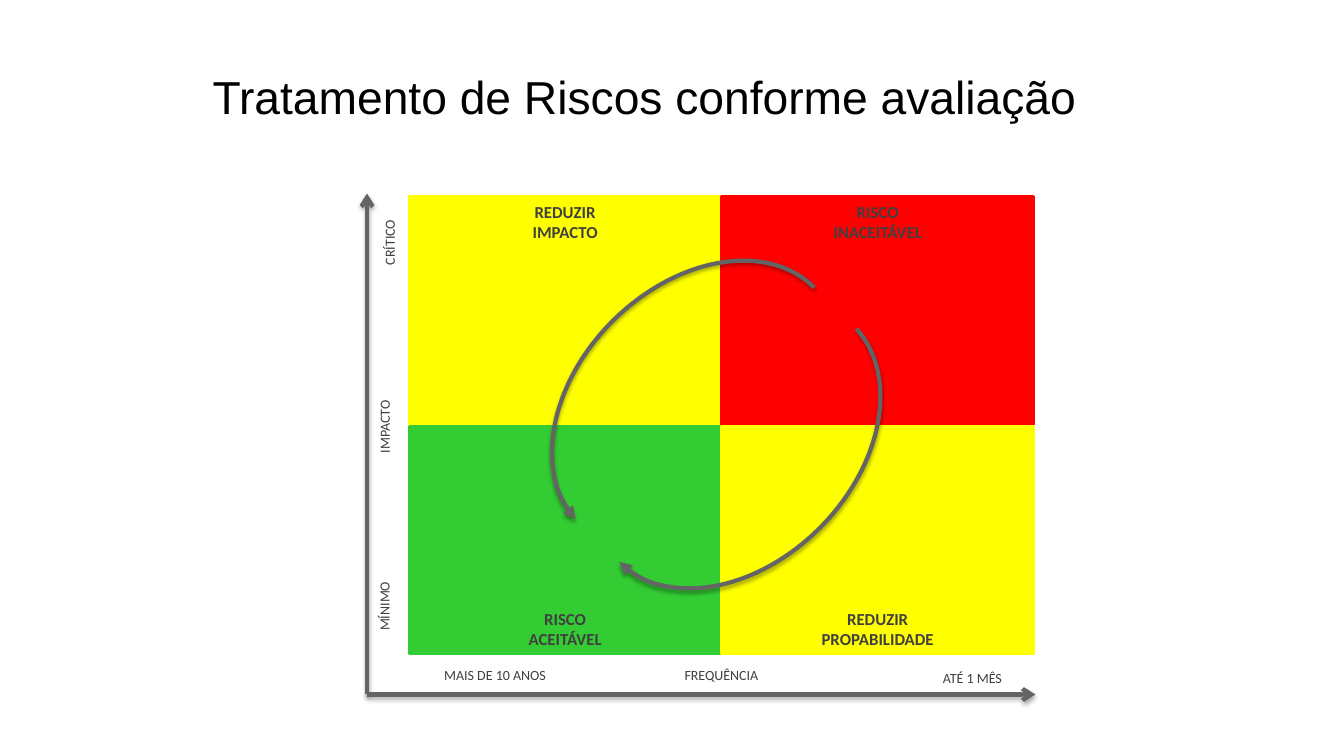
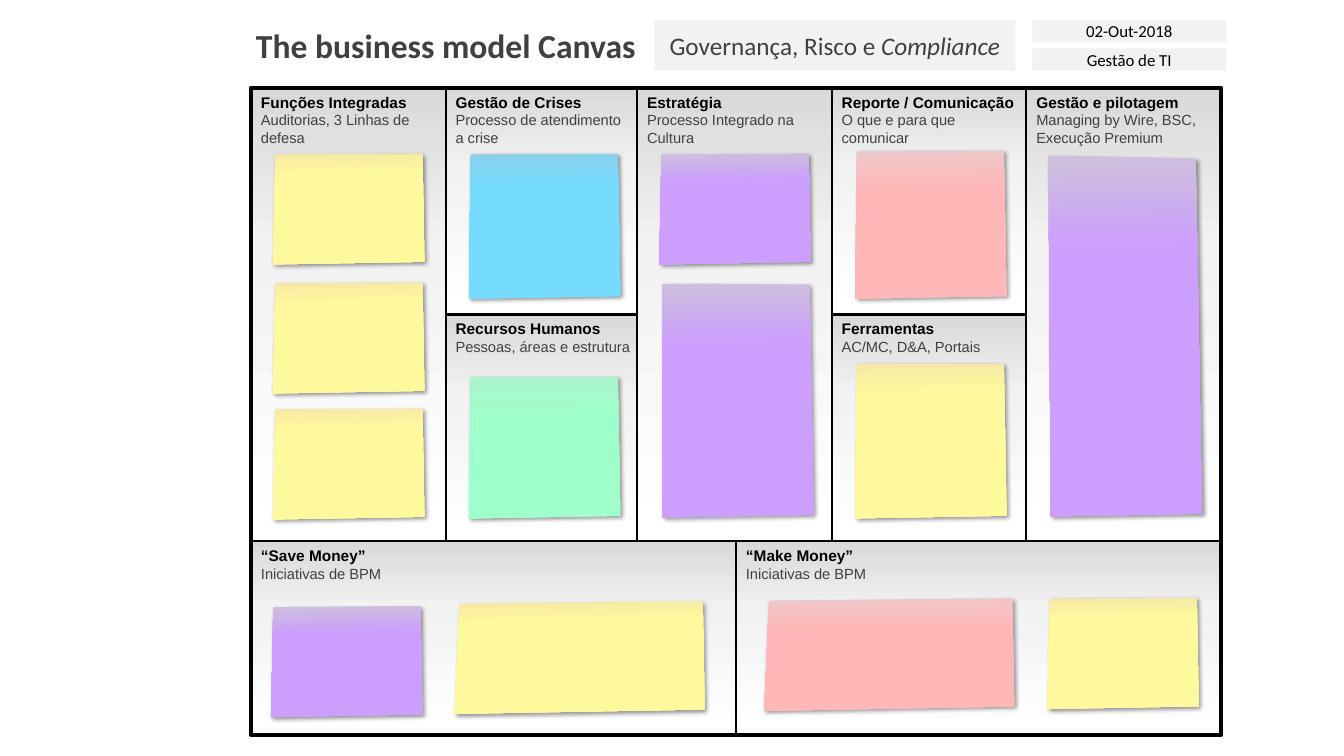
from dataclasses import dataclass

from lxml import etree
from pptx import Presentation, util as u
from pptx.dml.color import RGBColor
from pptx.enum import shapes, text
from pptx.oxml.ns import qn

PX = 9144  # EMU per px, 100 px to the inch
MID, TOP, BOTTOM = (text.MSO_ANCHOR.MIDDLE, text.MSO_ANCHOR.TOP,
                    text.MSO_ANCHOR.BOTTOM)
CENTER, LEFT = text.PP_ALIGN.CENTER, text.PP_ALIGN.LEFT
RECT = shapes.MSO_SHAPE.RECTANGLE


@dataclass(frozen=True)
class Theme:
    heading: str = "Arial"
    body: str = "Calibri"
    black: str = "000000"
    ink: str = "404040"
    arrow: str = "646464"
    band: str = "F2F2F2"
    yellow: str = "FFFF00"
    red: str = "FF0000"
    green: str = "33CC33"
    title: float = 33
    canvas_title: float = 24
    subject: float = 18
    label: float = 12
    axis: float = 10
    panel_head: float = 11
    panel_text: float = 10.5


T = Theme()
PANEL_FILL = ((0, "D9D9D9"), (35, "F2F2F2"), (100, "FFFFFF"))
NOTE_FILLS = {
    name: ((0, top), (stop, base), (100, base))
    for name, top, stop, base in (
        ("yellow", "F6E7A6", 21, "FEF99C"),
        ("blue", "8BD0E9", 25, "75DBFF"),
        ("green", "ACF4CB", 30, "9FFFCA"),
        ("purple", "CDC1DB", 27, "CC9EFE"),
        ("pink", "EDC9C9", 30, "FFB7B7"))
}


# Shared drawing helpers

def px(*values):
    return [u.Emu(round(v * PX)) for v in values]


def rgb(value):
    return RGBColor.from_string(value)


def sub(parent, tag, **attrs):
    return etree.SubElement(parent, qn(tag),
                            {k: str(v) for k, v in attrs.items()})


def set_line(sp, color=None, width=1.0):
    if color is None:
        sp.line.fill.background()
    else:
        sp.line.color.rgb = rgb(color)
        sp.line.width = u.Pt(width)


def set_gradient(sp, stops):
    """Fill from top to bottom."""
    sp.fill.background()
    old = sp._element.spPr.find(qn("a:noFill"))
    grad = etree.Element(qn("a:gradFill"), rotWithShape="1")
    gs_list = sub(grad, "a:gsLst")
    for pos, color in stops:
        sub(sub(gs_list, "a:gs", pos=pos * 1000), "a:srgbClr", val=color)
    sub(grad, "a:lin", ang=5400000, scaled=0)
    old.getparent().replace(old, grad)


def set_shadow(sp, alpha, blur, dist, angle):
    spPr = sp._element.spPr
    effects = spPr.find(qn("a:effectLst"))
    if effects is None:
        effects = sub(spPr, "a:effectLst")
    outer = sub(effects, "a:outerShdw", blurRad=u.Pt(blur), dist=u.Pt(dist),
                dir=angle * 60000, algn="ctr", rotWithShape=0)
    sub(sub(outer, "a:srgbClr", val=T.black), "a:alpha", val=alpha * 1000)


def arrow_line(sp, end, kind):
    """Dark stroke with one arrowhead and a soft shadow."""
    set_line(sp, T.arrow, 3)
    sub(sp._element.spPr.find(qn("a:ln")), end, type=kind)
    set_shadow(sp, 35, 3.1, 1.8, 90)


def add_box(s, box, fill=None, line=None, width=1.0, kind=RECT):
    sp = s.shapes.add_shape(kind, *px(*box))
    sp.shadow.inherit = False
    if fill is None:
        sp.fill.background()
    elif isinstance(fill, str):
        sp.fill.solid()
        sp.fill.fore_color.rgb = rgb(fill)
    else:
        set_gradient(sp, fill)
    set_line(sp, line, width)
    return sp


def write(sp, lines, size, color=T.ink, font=T.body, bold=False,
          align=CENTER, anchor=TOP, wrap=True):
    tf = sp.text_frame
    tf.word_wrap, tf.vertical_anchor = wrap, anchor
    for i, line in enumerate(lines):
        p = tf.add_paragraph() if i else tf.paragraphs[0]
        p.text, p.alignment = line, align
        style(p, size, color, font, bold)
    return tf


def style(p, size, color, font, bold):
    f = p.font
    f.size, f.name, f.bold = u.Pt(size), font, bold
    f.color.rgb = rgb(color)


def add_text(s, box, line, size, rotation=0, **kw):
    sp = s.shapes.add_textbox(*px(*box))
    sp.rotation = rotation
    write(sp, [line], size, **kw)


# Slide 1: risk matrix

QUADRANTS = (  # column, row, fill, lines
    (0, 0, T.yellow, ("REDUZIR", "IMPACTO")),
    (1, 0, T.red, ("RISCO", "INACEITÁVEL")),
    (0, 1, T.green, ("RISCO", "ACEITÁVEL")),
    (1, 1, T.yellow, ("REDUZIR", "PROPABILIDADE")),
)
AXIS_LABELS = (  # box from the matrix corner, text, rotation, anchor
    ((-27, 30, 98, 37), "CRÍTICO", 270, MID),
    ((-27, 391, 98, 37), "MÍNIMO", 270, TOP),
    ((-46, 213, 137, 37), "IMPACTO", 270, TOP),
    ((537, 462, 127, 37), "ATÉ 1 MÊS", 0, MID),
    ((39, 464, 176, 37), "MAIS DE 10 ANOS", 0, TOP),
    ((283, 464, 137, 37), "FREQUÊNCIA", 0, TOP),
)
ARCS = (  # offset from the matrix corner, rotation, arrow end
    (201, 130, 134.6, "a:tailEnd"),
    (162, 92, 315, "a:headEnd"),
)


def risk_matrix(s, x, y, w, h):
    # Quadrants, right of the vertical axis
    left, top, gap = x + 42, y + 3, 1
    qw, qh = 309, 226
    for col, row, fill, lines in QUADRANTS:
        box = (left + col * (qw + gap), top + row * (qh + 2 * gap), qw, qh)
        sp = add_box(s, box, fill, fill, 2)
        write(sp, lines, T.label, bold=True, anchor=BOTTOM if row else TOP)

    # Axes
    for end_x, end_y in ((x, y), (x + w, y + h)):
        cn = s.shapes.add_connector(shapes.MSO_CONNECTOR.STRAIGHT,
                                    *px(x, y + h, end_x, end_y))
        arrow_line(cn, "a:tailEnd", "arrow")
    for (dx, dy, lw, lh), label, rotation, anchor in AXIS_LABELS:
        add_text(s, (x + dx, y + dy, lw, lh), label, T.axis, rotation,
                 anchor=anchor)

    # Arcs from unacceptable to acceptable risk
    for dx, dy, rotation, end in ARCS:
        arc = add_box(s, (x + dx, y + dy, 330, 236),
                      kind=shapes.MSO_SHAPE.ARC)
        arc.adjustments[0], arc.adjustments[1] = 109.03, 0
        arc.rotation = rotation
        arrow_line(arc, end, "triangle")


def risk_slide(s):
    add_text(s, (201, 58, 892, 74), "Tratamento de Riscos conforme avaliação",
             T.title, color=T.black, font=T.heading, align=LEFT, anchor=MID)
    risk_matrix(s, 364, 192, 663, 497)


# Slide 2: business model canvas

COLS = (0, 193, 383, 576, 769)
COL_W, FULL, HALF = 193, 450, 225
FOOT_W, FOOT_H = 481, 192
NOTE_W, NOTE_H, WIDE = 150, 109, 248
PANELS = (  # box in the canvas, head, text, notes: (box in the panel, colour)
    ((0, FULL, FOOT_W, FOOT_H), "“Save Money”", "Iniciativas de BPM",
     (((19, 64, NOTE_W, NOTE_H), "purple"),
      ((201, 60, WIDE, NOTE_H), "yellow"))),
    ((FOOT_W, FULL, FOOT_W, FOOT_H), "“Make Money”", "Iniciativas de BPM",
     (((27, 57, WIDE, NOTE_H), "pink"),
      ((308, 56, NOTE_W, NOTE_H), "yellow"))),
    ((COLS[0], 0, COL_W, FULL), "Funções Integradas",
     "Auditorias, 3 Linhas de defesa",
     tuple(((21, dy, NOTE_W, NOTE_H), "yellow") for dy in (65, 193, 318))),
    ((COLS[1], 0, COL_W, HALF), "Gestão de Crises",
     "Processo de atendimento a crise", (((22, 65, NOTE_W, 143), "blue"),)),
    ((COLS[1], HALF, COL_W, HALF), "Recursos Humanos",
     "Pessoas, áreas e estrutura", (((22, 61, NOTE_W, 140), "green"),)),
    ((COLS[2], 0, COL_W, FULL), "Estratégia", "Processo Integrado na Cultura",
     (((21, 65, NOTE_W, NOTE_H), "purple"),
      ((23, 193, NOTE_W, 232), "purple"))),
    ((COLS[3], 0, COL_W, HALF), "Reporte / Comunicação",
     "O que e para que comunicar", (((22, 62, NOTE_W, 146), "pink"),)),
    ((COLS[3], HALF, COL_W, HALF), "Ferramentas", "AC/MC, D&A, Portais",
     (((22, 48, NOTE_W, 153), "yellow"),)),
    ((COLS[4], 0, COL_W, FULL), "Gestão e pilotagem",
     "Managing by Wire, BSC, Execução Premium",
     (((21, 66, NOTE_W, 358), "purple"),)),
)


def sticky_note(s, x, y, w, h, color):
    """Slightly skewed sheet, tilted by one degree."""
    corners = [px(*c) for c in ((x + 0.027 * w, y), (x + w, y + 0.016 * h),
                                (x + w, y + h), (x, y + h))]
    fb = s.shapes.build_freeform(*corners[0])
    fb.add_line_segments(corners[1:], close=True)
    sp = fb.convert_to_shape()
    sp.rotation = -1
    sp.shadow.inherit = False
    set_gradient(sp, NOTE_FILLS[color])
    set_line(sp)
    set_shadow(sp, 40, 3, 2, 45)


def panel(s, x, y, w, h, head, body, notes):
    sp = add_box(s, (x, y, w, h), PANEL_FILL, T.black, 1.5)
    tf = write(sp, (head, body), T.panel_head, T.black, T.heading, True, LEFT)
    style(tf.paragraphs[1], T.panel_text, T.ink, T.heading, False)
    for (dx, dy, nw, nh), color in notes:
        sticky_note(s, x + dx, y + dy, nw, nh, color)


def canvas(s, x, y, w, h):
    for (dx, dy, pw, ph), head, body, notes in PANELS:
        panel(s, x + dx, y + dy, pw, ph, head, body, notes)
    add_box(s, (x, y, w, h), line=T.black, width=3)


def canvas_header(s, x, y, h):
    add_text(s, (x, y, 401, h), "The business model Canvas", T.canvas_title,
             bold=True, align=LEFT, wrap=False)
    # Subject, with its last word in italics
    sp = add_box(s, (x + 405, y, 358, h), T.band)
    tf = write(sp, ["Governança, Risco e "], T.subject, anchor=MID)
    r = tf.paragraphs[0].add_run()
    r.text, r.font.italic = "Compliance", True
    # Date and area
    for i, line in enumerate(("02-Out-2018", "Gestão de TI")):
        sp = add_box(s, (x + 780, y + 28 * i, 192, 22), T.band)
        tf = write(sp, [line], T.label, T.black, anchor=MID)
        tf.margin_top = tf.margin_bottom = 0


def canvas_slide(s):
    canvas_header(s, 244, 20, 50)
    canvas(s, 249, 87, 962, 642)


def main():
    prs = Presentation()
    prs.slide_width, prs.slide_height = px(1333, 750)
    for build in (risk_slide, canvas_slide):
        build(prs.slides.add_slide(prs.slide_layouts[6]))
    prs.save("out.pptx")


if __name__ == "__main__":
    main()
